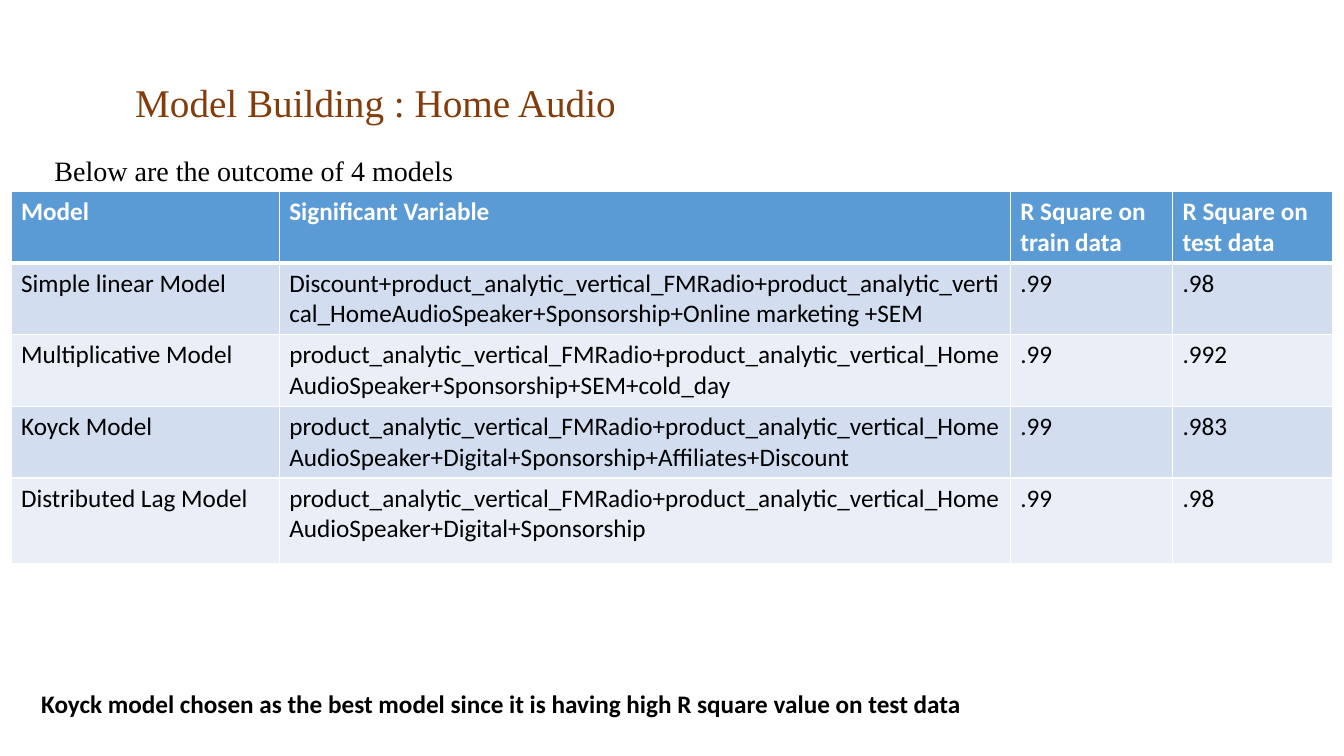
from dataclasses import dataclass

from pptx import Presentation
from pptx import util as u
from pptx.dml.color import RGBColor
from pptx.enum import text
from pptx.oxml import parse_xml
from pptx.oxml.ns import nsdecls


@dataclass(frozen=True)
class Theme:
    serif: str = "Times New Roman"
    sans: str = "Calibri"
    title: str = "843C0B"
    ink: str = "000000"
    white: str = "FFFFFF"
    header: str = "5B9BD5"
    bands: tuple = ("D2DEEF", "EAEFF7")
    title_size: int = 28
    body_size: int = 20
    table_size: int = 18


T = Theme()
VERTICALS = "product_analytic_vertical_FMRadio+product_analytic_vertical_HomeAudioSpeaker+"
COLUMNS = [2.66, 7.25, 1.61, 1.59]
ROW_HEIGHTS = [0.56, 0.41, 0.41, 0.41, 0.85]
MODELS = [
    ("Model", "Significant Variable", "R Square on train data", "R Square on test data"),
    ("Simple linear Model", f"Discount+{VERTICALS}Sponsorship+Online marketing +SEM", ".99", ".98"),
    ("Multiplicative Model", f"{VERTICALS}Sponsorship+SEM+cold_day", ".99", ".992"),
    ("Koyck Model", f"{VERTICALS}Digital+Sponsorship+Affiliates+Discount", ".99", ".983"),
    ("Distributed Lag Model", f"{VERTICALS}Digital+Sponsorship", ".99", ".98"),
]


def add_run(p, content, font, size, color, bold=False):
    r = p.add_run()
    r.text = content
    r.font.name = font
    r.font.size = u.Pt(size)
    r.font.color.rgb = RGBColor.from_string(color)
    r.font.bold = bold


def place(sp, left, top, width, height):
    sp.left, sp.top = u.Inches(left), u.Inches(top)
    sp.width, sp.height = u.Inches(width), u.Inches(height)


def fill_placeholder(sp, content, box, size, color, anchor, space_before=0):
    place(sp, *box)
    tf = sp.text_frame
    tf.auto_size = text.MSO_AUTO_SIZE.NONE
    tf.vertical_anchor = anchor
    p = tf.paragraphs[0]
    p.alignment = text.PP_ALIGN.LEFT
    p.line_spacing = 0.9
    p.space_before = u.Pt(space_before)
    add_run(p, content, T.serif, size, color)
    return p


def remove_bullet(p):
    pPr = p._p.get_or_add_pPr()
    pPr.set("marL", "0")
    pPr.set("indent", "0")
    pPr.append(parse_xml(f"<a:buNone {nsdecls('a')}/>"))


def add_borders(cell, bottom):
    tcPr = cell._tc.get_or_add_tcPr()
    for side, width in (("L", 1), ("R", 1), ("T", 1), ("B", bottom)):
        tcPr.append(parse_xml(
            f'<a:ln{side} {nsdecls("a")} w="{u.Pt(width)}"><a:solidFill>'
            f'<a:srgbClr val="{T.white}"/></a:solidFill></a:ln{side}>'))


def fill_cell(cell, content, row):
    is_header = row == 0
    add_borders(cell, 3 if is_header else 1)
    cell.fill.solid()
    fill = T.header if is_header else T.bands[(row - 1) % 2]
    cell.fill.fore_color.rgb = RGBColor.from_string(fill)
    add_run(cell.text_frame.paragraphs[0], content, T.sans, T.table_size,
            T.white if is_header else T.ink, is_header)


def add_model_table(s):
    frame = s.shapes.add_table(len(MODELS), len(COLUMNS), u.Inches(0.11), u.Inches(1.9),
                               u.Inches(sum(COLUMNS)), u.Inches(sum(ROW_HEIGHTS)))
    table = frame.table
    for column, width in zip(table.columns, COLUMNS):
        column.width = u.Inches(width)
    for row, height in zip(table.rows, ROW_HEIGHTS):
        row.height = u.Inches(height)
    for i, model in enumerate(MODELS):
        for j, content in enumerate(model):
            fill_cell(table.cell(i, j), content, i)


def add_conclusion(s, content):
    sp = s.shapes.add_textbox(u.Inches(0.31), u.Inches(6.78), u.Inches(12.44), u.Inches(0.4))
    tf = sp.text_frame
    tf.word_wrap = True
    tf.auto_size = text.MSO_AUTO_SIZE.SHAPE_TO_FIT_TEXT
    add_run(tf.paragraphs[0], content, T.sans, T.table_size, T.ink, True)


def main():
    prs = Presentation()
    prs.slide_width, prs.slide_height = u.Inches(13.33), u.Inches(7.5)
    s = prs.slides.add_slide(prs.slide_layouts[1])
    fill_placeholder(s.shapes.title, "Model Building : Home Audio", (1.24, 0.57, 10.19, 0.94),
                     T.title_size, T.title, text.MSO_ANCHOR.MIDDLE)
    p = fill_placeholder(s.placeholders[1], "Below are the outcome of 4 models",
                         (0.44, 1.51, 12.21, 5.27), T.body_size, T.ink,
                         text.MSO_ANCHOR.TOP, 10)
    remove_bullet(p)
    add_model_table(s)
    add_conclusion(s, "Koyck model chosen as the best model since it is having "
                      "high R square value on test data")
    prs.save("out.pptx")


if __name__ == "__main__":
    main()
